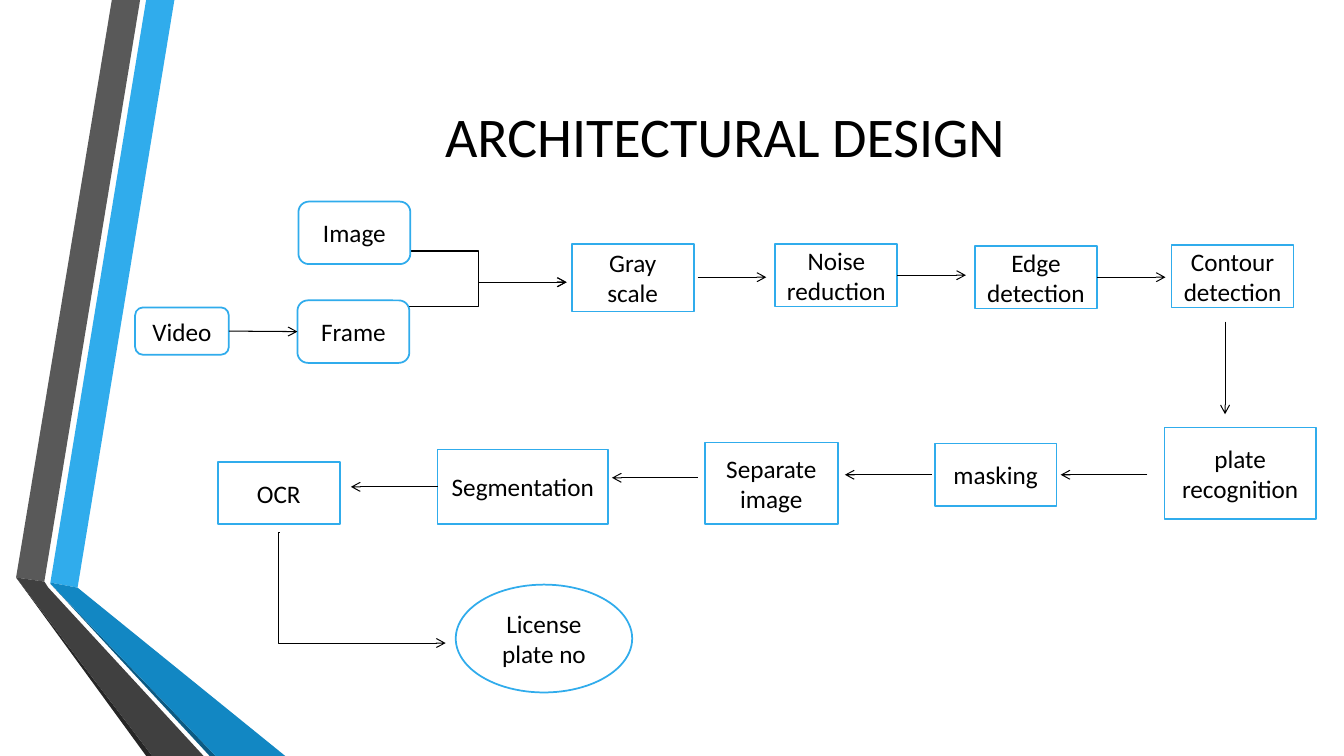
import dataclasses

import pptx
import pptx.dml.color
import pptx.enum.shapes
import pptx.enum.text
import pptx.oxml
import pptx.oxml.ns
import pptx.util

Inches = pptx.util.Inches
Pt = pptx.util.Pt
RGB = pptx.dml.color.RGBColor.from_string
SHAPE = pptx.enum.shapes.MSO_SHAPE
LINK = pptx.enum.shapes.MSO_CONNECTOR
ALIGN = pptx.enum.text.PP_ALIGN
ANCHOR = pptx.enum.text.MSO_ANCHOR
TOP, LEFT, BOTTOM, RIGHT = range(4)


@dataclasses.dataclass(frozen=True)
class Theme:
    """Colours, font and sizes of the slide."""
    font: str = "Calibri"
    title_size: float = 40
    step_size: float = 18
    outline: float = 1.25
    arrow: float = 0.75
    text: str = "000000"
    paper: str = "FFFFFF"
    blue: str = "30ACEC"
    blue_mid: str = "1287C3"
    blue_dark: str = "0C5A82"
    grey: str = "595959"
    grey_mid: str = "404040"
    grey_dark: str = "262626"


T = Theme()


def write(shape, text, size=T.step_size, color=T.text, align=ALIGN.CENTER):
    """Put one formatted paragraph in a shape."""
    tf = shape.text_frame
    tf.word_wrap = True
    tf.vertical_anchor = ANCHOR.MIDDLE
    p = tf.paragraphs[0]
    p.alignment = align
    r = p.add_run()
    r.text = text
    r.font.name = T.font
    r.font.size = Pt(size)
    r.font.color.rgb = RGB(color)


def polygon(s, x, y, points, color):
    """Draw a filled outline through points relative to x, y."""
    pts = [(Inches(x + dx), Inches(y + dy)) for dx, dy in points]
    fb = s.shapes.build_freeform(*pts[0], scale=1.0)
    fb.add_line_segments(pts[1:], close=True)
    sp = fb.convert_to_shape()
    sp.shadow.inherit = False
    sp.fill.solid()
    sp.fill.fore_color.rgb = RGB(color)
    sp.line.fill.background()


def step(s, text, x, y, w, h, kind=SHAPE.RECTANGLE):
    """Draw one outlined step of the flow."""
    sp = s.shapes.add_shape(kind, Inches(x), Inches(y), Inches(w), Inches(h))
    sp.shadow.inherit = False
    sp.fill.solid()
    sp.fill.fore_color.rgb = RGB(T.paper)
    sp.line.color.rgb = RGB(T.blue)
    sp.line.width = Pt(T.outline)
    write(sp, text)
    return sp


def arrow(s, x1, y1, x2, y2, kind=LINK.STRAIGHT, begin=None, end=None, bend=None):
    """Draw an arrow, joined to (shape, side) pairs where given."""
    c = s.shapes.add_connector(kind, Inches(x1), Inches(y1), Inches(x2), Inches(y2))
    c.line.color.rgb = RGB(T.text)
    c.line.width = Pt(T.arrow)
    ns = pptx.oxml.ns.nsdecls("a")
    c.line._get_or_add_ln().append(pptx.oxml.parse_xml(f'<a:tailEnd {ns} type="arrow"/>'))
    props = c._element.spPr
    props.append(pptx.oxml.parse_xml(f"<a:effectLst {ns}/>"))
    if bend is not None:
        guides = props.find(pptx.oxml.ns.qn("a:prstGeom")).get_or_add_avLst()
        guides.append(pptx.oxml.parse_xml(f'<a:gd {ns} name="adj1" fmla="val {bend}"/>'))
    if begin:
        c.begin_connect(*begin)
    if end:
        c.end_connect(*end)


def ribbon(s, x, y):
    """Draw the folded grey and blue bands at the left."""
    bands = [
        (T.blue, [(0.34, 5.78), (0.61, 5.83), (1.57, 0), (1.29, 0)]),
        (T.grey, [(1.23, 0), (0.95, 0), (0, 5.73), (0.28, 5.77)]),
        (T.grey_dark, [(0, 5.73), (1.29, 7.5), (1.35, 7.5)]),
        (T.blue_dark, [(0.34, 5.79), (1.92, 7.5), (1.98, 7.5)]),
        (T.blue_mid, [(0.34, 5.78), (0.34, 5.79), (1.98, 7.5), (2.67, 7.5), (0.61, 5.83)]),
        (T.grey_mid, [(1.86, 7.5), (0.32, 5.83), (0.28, 5.77), (0, 5.73), (1.35, 7.5)]),
    ]
    for color, points in bands:
        polygon(s, x, y, points, color)


def title(s, x, y, w, h):
    """Write the heading."""
    tb = s.shapes.add_textbox(Inches(x), Inches(y), Inches(w), Inches(h))
    write(tb, "ARCHITECTURAL DESIGN", size=T.title_size)


def inputs(s, x, y):
    """Draw the image and video sources merging into one arrow."""
    for dy in (0.49, 1.04):
        arrow(s, x + 2.53, y + dy, x + 4.28, y + 0.8, kind=LINK.ELBOW)
    rounded = SHAPE.ROUNDED_RECTANGLE
    step(s, "Image", x + 1.62, y, 1.11, 0.62, kind=rounded)
    frame = step(s, "Frame", x + 1.61, y + 0.98, 1.11, 0.62, kind=rounded)
    video = step(s, "Video", x, y + 1.05, 0.93, 0.47, kind=rounded)
    arrow(s, x + 0.93, y + 1.29, x + 1.61, y + 1.29,
          begin=(video, RIGHT), end=(frame, LEFT))


def row(s, x, y, steps, arrows):
    """Draw a row of steps and the level arrows between them."""
    boxes = {text: step(s, text, x + dx, y + dy, w, h) for text, dx, dy, w, h in steps}
    for x1, x2, dy, source, side in arrows:
        begin = (boxes[source], side) if source else None
        arrow(s, x + x1, y + dy, x + x2, y + dy, begin=begin)


def preprocessing(s, x, y):
    """Draw the upper row, from grey scale to contours, and its way down."""
    row(s, x, y, [
        ("Gray scale", 0, 0, 1.21, 0.67),
        ("Noise reduction", 2.02, 0, 1.21, 0.62),
        ("Edge detection", 4, 0.02, 1.21, 0.62),
        ("Contour detection", 5.95, 0.01, 1.21, 0.62),
    ], [
        (1.25, 1.93, 0.33, None, None),
        (3.23, 3.91, 0.31, "Noise reduction", RIGHT),
        (5.21, 5.89, 0.33, "Edge detection", RIGHT),
    ])
    arrow(s, x + 6.48, y + 0.77, x + 6.48, y + 1.69)


def recognition(s, x, y):
    """Draw the lower row, read from right to left."""
    row(s, x, y, [
        ("plate recognition", 9.39, 0, 1.5, 0.91),
        ("masking", 7.11, 0.16, 1.21, 0.62),
        ("Separate image", 4.83, 0.15, 1.32, 0.81),
        ("Segmentation", 2.18, 0.22, 1.69, 0.74),
        ("OCR", 0, 0.34, 1.21, 0.62),
    ], [
        (9.22, 8.36, 0.47, None, None),
        (7.08, 6.22, 0.47, None, None),
        (4.76, 3.91, 0.5, None, None),
        (2.18, 1.32, 0.59, "Segmentation", LEFT),
    ])


def output(s, x, y):
    """Draw the bent arrow to the final result."""
    arrow(s, x, y, x + 1.65, y + 1.1, kind=LINK.ELBOW, bend=-400)
    step(s, "License plate no", x + 1.75, y + 0.52, 1.75, 1.07, kind=SHAPE.OVAL)


def main():
    """Build and save the slide."""
    prs = pptx.Presentation()
    prs.slide_width, prs.slide_height = Inches(13.33), Inches(7.5)
    s = prs.slides.add_slide(prs.slide_layouts[6])
    ribbon(s, 0.16, 0)
    title(s, 1.71, 0.69, 10.96, 1.31)
    inputs(s, 1.34, 2)
    preprocessing(s, 5.67, 2.42)
    recognition(s, 2.16, 4.24)
    output(s, 2.77, 5.28)
    prs.save("out.pptx")


if __name__ == "__main__":
    main()
